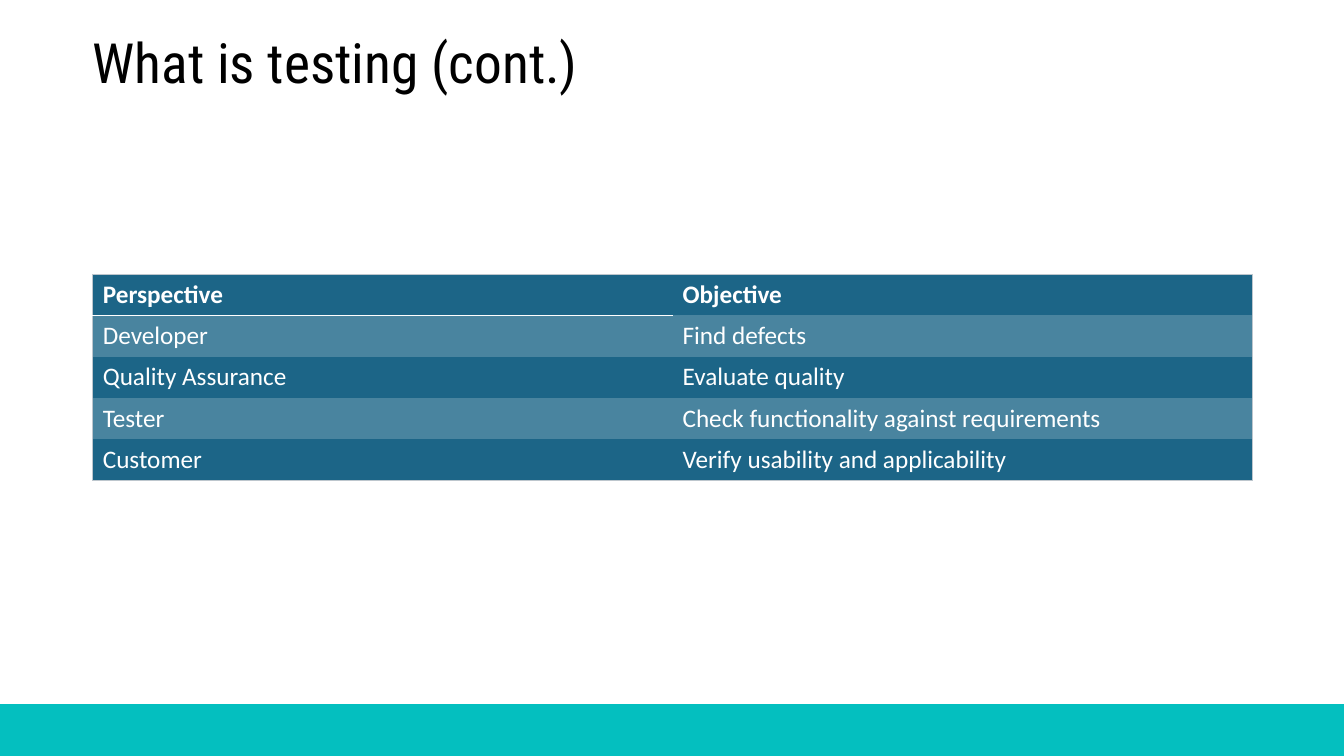
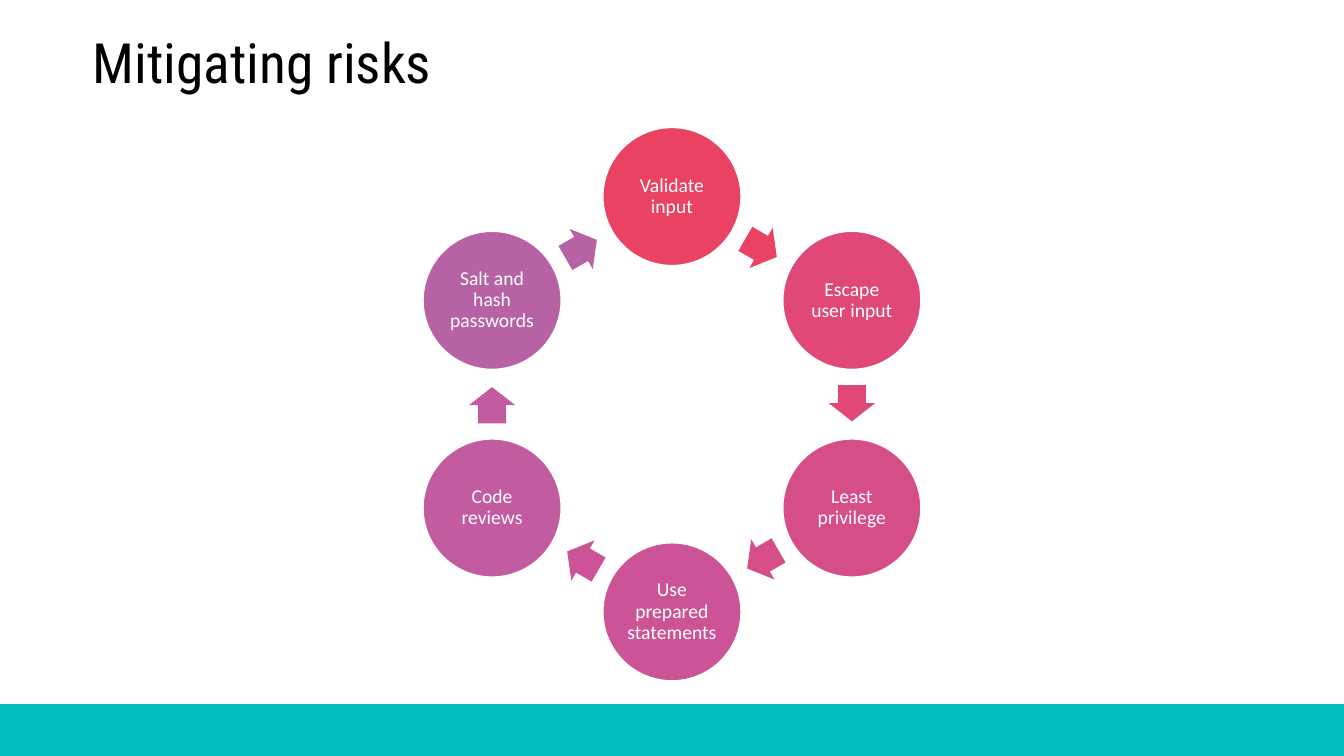
"""Build two slides: a testing perspectives table and a risk mitigation cycle."""
from dataclasses import dataclass
from math import cos, radians, sin

from lxml.etree import SubElement
from pptx import Presentation
from pptx.dml.color import RGBColor
from pptx.enum.shapes import MSO_SHAPE
from pptx.enum.text import MSO_ANCHOR, PP_ALIGN
from pptx.oxml.ns import qn
from pptx.util import Inches, Pt


@dataclass(frozen=True)
class Theme:
    """Colours, fonts and type sizes shared by the slides."""
    white: str = "FFFFFF"
    black: str = "000000"
    band: str = "04BFBF"
    row_dark: str = "1C6587"
    row_light: str = "49849F"
    table_edge: str = "BDC6CD"
    title_font: str = "Roboto Condensed"
    body_font: str = "Calibri"
    title_size: float = 39.6
    table_size: float = 18
    step_size: float = 14


THEME = Theme()
SLIDE_WIDTH, SLIDE_HEIGHT = 13.33, 7.5
MARGIN = 0.92
PLAIN_TABLE_STYLE = "{2D5ABB26-0587-4C30-8999-92F81FD0307C}"

PERSPECTIVES = [
    ("Perspective", "Objective"),
    ("Developer", "Find defects"),
    ("Quality Assurance", "Evaluate quality"),
    ("Tester", "Check functionality against requirements"),
    ("Customer", "Verify usability and applicability"),
]
STEPS = [
    ("Validate input", "E94262"),
    ("Escape user input", "E04877"),
    ("Least privilege", "D64E88"),
    ("Use prepared statements", "CC5496"),
    ("Code reviews", "C25BA0"),
    ("Salt and hash passwords", "B762A5"),
]


def add_span(para, text, font, size, colour, bold=False):
    """Add one styled run to a paragraph."""
    span = para.add_run()
    span.text = text
    span.font.name = font
    span.font.size = Pt(size)
    span.font.bold = bold
    span.font.color.rgb = RGBColor.from_string(colour)


def set_insets(frame, left, top, right, bottom):
    """Set the inner margins of a text frame in inches."""
    frame.margin_left, frame.margin_top = Inches(left), Inches(top)
    frame.margin_right, frame.margin_bottom = Inches(right), Inches(bottom)


def add_filled(page, preset, left, top, width, height, fill, line=None):
    """Add a flat preset shape with an optional one-point outline."""
    shape = page.shapes.add_shape(
        preset, Inches(left), Inches(top), Inches(width), Inches(height))
    shape.shadow.inherit = False
    shape.fill.solid()
    shape.fill.fore_color.rgb = RGBColor.from_string(fill)
    if line:
        shape.line.color.rgb = RGBColor.from_string(line)
        shape.line.width = Pt(1)
    else:
        shape.line.fill.background()
    return shape


def add_page(deck, title):
    """Add a blank slide with the bottom band and a title."""
    page = deck.slides.add_slide(deck.slide_layouts[6])
    add_filled(page, MSO_SHAPE.RECTANGLE, 0, 6.99, SLIDE_WIDTH, 0.51, THEME.band, THEME.band)
    box = page.shapes.add_textbox(Inches(MARGIN), Inches(0.36), Inches(10.16), Inches(0.64))
    frame = box.text_frame
    frame.word_wrap = True
    frame.vertical_anchor = MSO_ANCHOR.BOTTOM
    set_insets(frame, 0, 0.05, 0.1, 0.05)
    para = frame.paragraphs[0]
    para.line_spacing = 0.9
    add_span(para, title, THEME.title_font, THEME.title_size, THEME.black)
    return page


def set_borders(cell, borders):
    """Draw cell borders given as side, colour and width, in L, R, T, B order."""
    properties = cell._tc.get_or_add_tcPr()
    for index, (side, colour, width) in enumerate(borders):
        line = SubElement(properties, qn(f"a:ln{side}"), w=str(Pt(width)))
        fill = SubElement(line, qn("a:solidFill"))
        SubElement(fill, qn("a:srgbClr"), val=colour)
        properties.insert(index, line)


def cell_borders(row, column, last_row, last_column):
    """List the borders of a cell: the outer frame and the header rule."""
    outer = {"L": column == 0, "R": column == last_column,
             "T": row == 0, "B": row == last_row}
    borders = [(side, THEME.table_edge, 0.5) for side, drawn in outer.items() if drawn]
    if row == 0 and column == 0:
        borders.append(("B", THEME.white, 1))
    return borders


def add_banded_table(page, rows, left, top, column_width, row_height):
    """Add a table with alternating row fills and a bold header."""
    columns = len(rows[0])
    graphic = page.shapes.add_table(
        len(rows), columns, Inches(left), Inches(top),
        Inches(column_width * columns), Inches(row_height * len(rows)))
    table = graphic.table
    table._tbl.tblPr.find(qn("a:tableStyleId")).text = PLAIN_TABLE_STYLE
    for column in table.columns:
        column.width = Inches(column_width)
    for row_index, texts in enumerate(rows):
        table.rows[row_index].height = Inches(row_height)
        colour = THEME.row_light if row_index % 2 else THEME.row_dark
        for column_index, text in enumerate(texts):
            cell = table.cell(row_index, column_index)
            cell.fill.solid()
            cell.fill.fore_color.rgb = RGBColor.from_string(colour)
            add_span(cell.text_frame.paragraphs[0], text, THEME.body_font,
                     THEME.table_size, THEME.white, bold=row_index == 0)
            set_borders(cell, cell_borders(row_index, column_index, len(rows) - 1, columns - 1))


def add_step(page, text, colour, centre, diameter):
    """Add a labelled circle around its centre."""
    x, y = centre
    circle = add_filled(page, MSO_SHAPE.OVAL, x - diameter / 2, y - diameter / 2,
                        diameter, diameter, colour, THEME.white)
    frame = circle.text_frame
    frame.word_wrap = True
    frame.vertical_anchor = MSO_ANCHOR.MIDDLE
    set_insets(frame, 0.02, 0.02, 0.02, 0.02)
    para = frame.paragraphs[0]
    para.alignment = PP_ALIGN.CENTER
    para.line_spacing = 0.9
    add_span(para, text, THEME.body_font, THEME.step_size, THEME.white)


def add_turn_arrow(page, colour, start, end, rotation):
    """Add a block arrow slightly before the middle of two circle centres."""
    width, height, setback = 0.36, 0.46, 0.01
    x = (start[0] + end[0]) / 2 - setback * cos(radians(rotation))
    y = (start[1] + end[1]) / 2 - setback * sin(radians(rotation))
    arrow = add_filled(page, MSO_SHAPE.RIGHT_ARROW, x - width / 2, y - height / 2,
                       width, height, colour)
    arrow.adjustments[0], arrow.adjustments[1] = 0.6, 0.5
    arrow.rotation = rotation


def add_cycle(page, steps, centre, radius, diameter):
    """Place steps clockwise from the top, with an arrow to each next step."""
    turn = 360 / len(steps)
    centres = [(centre[0] + radius * sin(radians(turn * index)),
                centre[1] - radius * cos(radians(turn * index)))
               for index in range(len(steps))]
    for index, (text, colour) in enumerate(steps):
        following = centres[(index + 1) % len(steps)]
        add_step(page, text, colour, centres[index], diameter)
        add_turn_arrow(page, colour, centres[index], following, turn * (index + 0.5))


def main():
    """Build and save the deck."""
    deck = Presentation()
    deck.slide_width, deck.slide_height = Inches(SLIDE_WIDTH), Inches(SLIDE_HEIGHT)
    page = add_page(deck, "What is testing (cont.)")
    add_banded_table(page, PERSPECTIVES, MARGIN, 2.72, 5.75, 0.41)
    page = add_page(deck, "Mitigating risks")
    add_cycle(page, STEPS, (SLIDE_WIDTH / 2, 4.01), 2.06, 1.37)
    deck.save("out.pptx")


if __name__ == "__main__":
    main()
